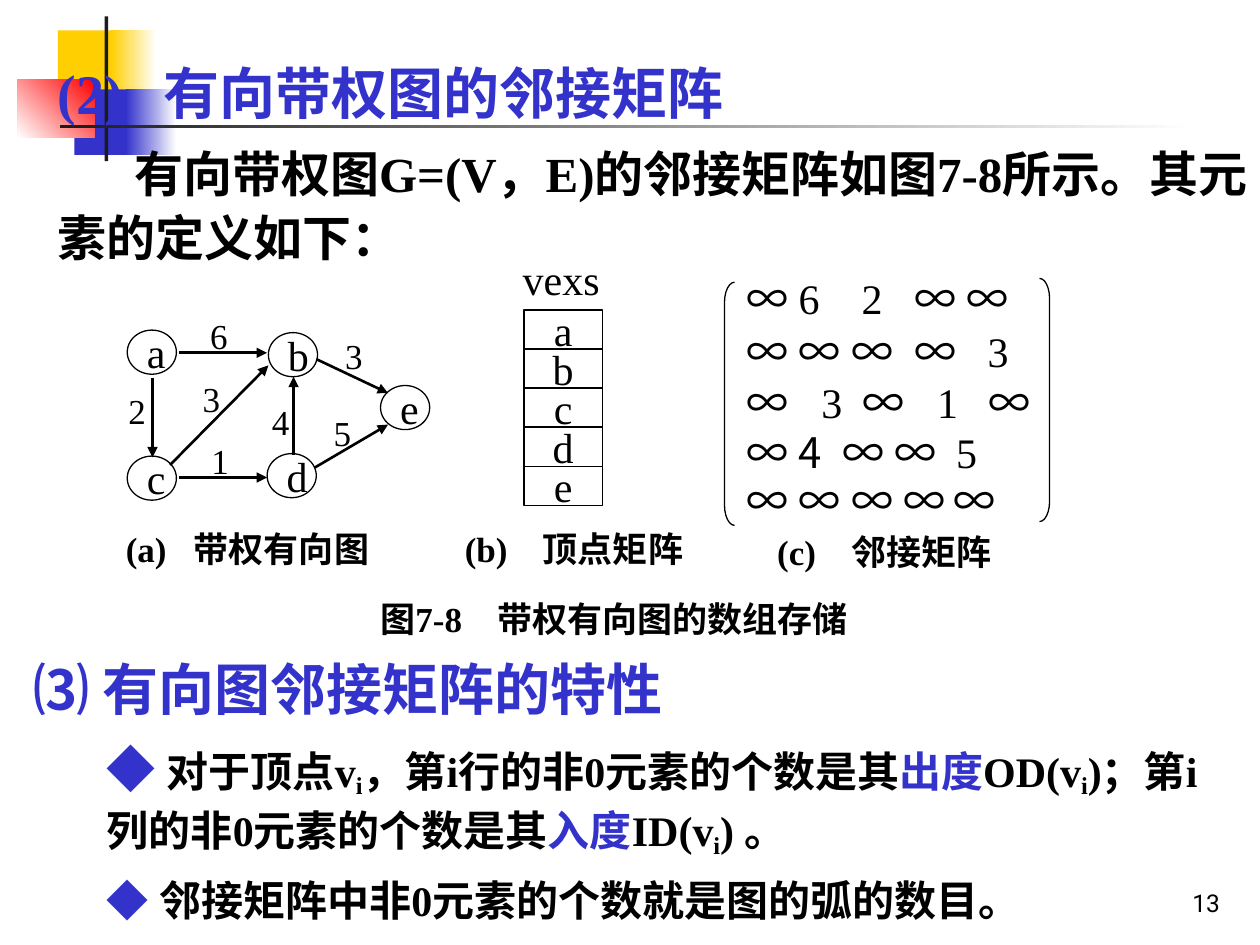
from lxml import etree
from pptx import Presentation
from pptx import util as u
from pptx.dml.color import RGBColor
from pptx.enum import shapes, text
from pptx.oxml.ns import qn

BLACK = RGBColor(0x00, 0x00, 0x00)
WHITE = RGBColor(0xFF, 0xFF, 0xFF)
BLUE = RGBColor(0x33, 0x33, 0xCC)
YELLOW = RGBColor(0xFF, 0xCF, 0x01)
RED = RGBColor(0xFF, 0x00, 0x00)
DARK = RGBColor(0x1C, 0x1C, 0x1C)
TIMES = "Times New Roman"
SANS = "Noto Sans CJK SC"
ROBOTO = "Roboto"
EAST_ASIAN = {TIMES: ROBOTO, SANS: SANS, ROBOTO: ROBOTO}
PLAIN = {"name": TIMES, "size": u.Pt(24), "bold": False}
CAPTION = {"name": TIMES, "size": u.Pt(20), "bold": True}
WEIGHT = {"name": TIMES, "size": u.Pt(20), "bold": False}
HEADING = {"name": TIMES, "size": u.Pt(32), "bold": True}
BODY = {"name": TIMES, "size": u.Pt(24), "bold": True}
RECTANGLE = shapes.MSO_SHAPE.RECTANGLE
MIDDLE = text.MSO_ANCHOR.MIDDLE

# left, top, width, height, colour, end colour, angle
ORNAMENTS = [
    (0.46, 0.24, 0.48, 0.52, YELLOW, None, 0),
    (0.88, 0.24, 0.36, 0.52, WHITE, YELLOW, 180),
    (0.59, 0.71, 0.46, 0.52, BLUE, None, 0),
    (1.00, 0.71, 0.40, 0.52, WHITE, BLUE, 180),
    (0.14, 0.63, 0.61, 0.46, RED, WHITE, 225),
    (0.83, 0.13, 0.03, 1.15, DARK, None, 0),
    (0.48, 0.99, 9.00, 0.03, WHITE, DARK, 180),
]
NODES = {"a": (1.01, 2.62), "b": (2.13, 2.64), "c": (1.01, 3.62),
         "d": (2.12, 3.6), "e": (3.02, 3.06)}
# start, end, weight, left and top of the weight
EDGES = [
    ((1.21, 3.0), (1.21, 3.63), "2", (0.92, 3.1)),
    ((2.33, 3.61), (2.33, 2.99), "4", (2.06, 3.19)),
    ((1.42, 2.8), (2.12, 2.8), "6", (1.57, 2.51)),
    ((1.42, 3.79), (2.12, 3.79), "1", (1.58, 3.5)),
    ((1.35, 3.69), (2.13, 2.9), "3", (1.51, 3.01)),
    ((2.5, 3.71), (3.08, 3.37), "5", (2.55, 3.28)),
    ((2.51, 2.85), (3.08, 3.12), "3", (2.64, 2.67)),
]
# top, entries, tab stops
MATRIX_ROWS = [
    (2.19, "∞62∞∞", (0.41, 0.91, 1.33, 1.74)),
    (2.61, "∞∞∞∞3", (0.41, 0.83, 1.33, 1.91)),
    (3.01, "∞3∞1∞", (0.59, 0.92, 1.51, 1.92)),
    (3.41, "∞4∞∞5", (0.41, 0.76, 1.17, 1.66)),
    (3.79, "∞∞∞∞∞", (0.41, 0.83, 1.24, 1.64)),
]
# left, top, width, text, tab stop
CAPTIONS = [
    (0.9, 4.18, 2.15, "(a)\t带权有向图", 0.54),
    (3.59, 4.18, 1.95, "(b)\t顶点矩阵", 0.62),
    (6.07, 4.2, 1.95, "(c)\t邻接矩阵", 0.59),
    (2.92, 4.73, 3.9, "图7-8\t带权有向图的数组存储", 0.93),
]


def apply(target, values):
    for name, value in values.items():
        setattr(target, name, value)


def add_run(paragraph, words, font, color=BLACK, baseline=None):
    run = paragraph.add_run()
    run.text = words
    apply(run.font, font)
    run.font.color.rgb = color
    properties = run.font._element
    etree.SubElement(properties, qn("a:ea")).set("typeface", EAST_ASIAN[font["name"]])
    if baseline:
        properties.set("baseline", str(baseline))


def set_tabs(paragraph, stops):
    tab_list = etree.SubElement(paragraph._p.get_or_add_pPr(), qn("a:tabLst"))
    for stop in stops:
        tab = etree.SubElement(tab_list, qn("a:tab"))
        tab.set("pos", str(u.Inches(stop)))
        tab.set("algn", "l")


def add_text(slide, box, wrap=True, anchor=MIDDLE):
    """Add an empty text box and return its text frame."""
    frame = slide.shapes.add_textbox(*map(u.Inches, box)).text_frame
    apply(frame, {"word_wrap": wrap, "vertical_anchor": anchor})
    return frame


def add_label(slide, box, words, font, stops=()):
    frame = add_text(slide, box, wrap=False)
    frame.margin_right = 0
    paragraph = frame.paragraphs[0]
    if stops:
        set_tabs(paragraph, stops)
    add_run(paragraph, words, font)


def add_outline(slide, kind, box):
    shape = slide.shapes.add_shape(kind, *map(u.Inches, box))
    shape.shadow.inherit = False
    shape.fill.background()
    shape.line.color.rgb = BLACK
    shape.line.width = u.Pt(0.75)
    return shape


def add_lettered(slide, kind, box, letter, alignment):
    frame = add_outline(slide, kind, box).text_frame
    apply(frame, {"word_wrap": False, "vertical_anchor": MIDDLE})
    frame.paragraphs[0].alignment = alignment
    add_run(frame.paragraphs[0], letter, PLAIN)


def add_ornament(slide, left, top, width, height, color, end_color, angle):
    shape = slide.shapes.add_shape(RECTANGLE, *map(u.Inches, (left, top, width, height)))
    shape.shadow.inherit = False
    shape.line.fill.background()
    if end_color is None:
        shape.fill.solid()
        shape.fill.fore_color.rgb = color
        return
    shape.fill.gradient()
    shape.fill.gradient_angle = angle
    for stop, stop_color in zip(shape.fill.gradient_stops, (color, end_color)):
        stop.color.rgb = stop_color


def add_arrow(slide, start, end):
    connector = slide.shapes.add_connector(
        shapes.MSO_CONNECTOR.STRAIGHT, *map(u.Inches, (*start, *end)))
    connector.line.color.rgb = BLACK
    connector.line.width = u.Pt(1.5)
    etree.SubElement(connector.line._get_or_add_ln(), qn("a:tailEnd")).set("type", "triangle")
    etree.SubElement(connector._element.spPr, qn("a:effectLst"))


def add_title(slide):
    title = slide.shapes.title
    apply(title, {"left": u.Inches(0.36), "top": u.Inches(0.36),
                  "width": u.Inches(9.64), "height": u.Inches(0.68)})
    frame = title.text_frame
    apply(frame, {"vertical_anchor": text.MSO_ANCHOR.TOP, "word_wrap": True,
                  "auto_size": text.MSO_AUTO_SIZE.NONE})
    paragraph = frame.paragraphs[0]
    apply(paragraph, {"alignment": text.PP_ALIGN.LEFT, "line_spacing": 1.1})
    set_tabs(paragraph, [0.84])
    add_run(paragraph, "(2)\t有向带权图的邻接矩阵", HEADING, BLUE)
    slide.shapes._spTree.append(title._element)  # in front of the ornaments


def add_introduction(slide):
    frame = add_text(slide, (0.36, 1.04, 9.64, 1.21), anchor=text.MSO_ANCHOR.TOP)
    paragraph = frame.paragraphs[0]
    paragraph.line_spacing = 1.1
    paragraph._p.get_or_add_pPr().set("indent", str(u.Inches(0.61)))
    add_run(paragraph, "有向带权图G=(V，E)的邻接矩阵如图7-8所示。其元素的定义如下：",
            {**BODY, "size": u.Pt(28)})


def add_graph(slide):
    for letter, corner in NODES.items():
        add_lettered(slide, shapes.MSO_SHAPE.OVAL, (*corner, 0.39, 0.35), letter,
                     text.PP_ALIGN.LEFT)
    for start, end, weight, corner in EDGES:
        add_arrow(slide, start, end)
        add_label(slide, (*corner, 0.31, 0.31), weight, WEIGHT)


def add_vertices(slide):
    add_label(slide, (4.05, 2.04, 0.79, 0.35), "vexs", PLAIN)
    for index, letter in enumerate(NODES):
        add_lettered(slide, RECTANGLE, (4.16, 2.46 + 0.31 * index, 0.62, 0.31), letter,
                     text.PP_ALIGN.CENTER)


def add_matrix(slide):
    for top, entries, stops in MATRIX_ROWS:
        frame = add_text(slide, (5.83, top, 2.4, 0.35))
        frame.margin_right = 0
        paragraph = frame.paragraphs[0]
        set_tabs(paragraph, stops)
        for index, entry in enumerate(entries):
            font = SANS if entry in "∞4" else TIMES
            add_run(paragraph, "\t" * (index > 0) + entry, {**PLAIN, "name": font})
    for kind, left, top in ((shapes.MSO_SHAPE.LEFT_BRACKET, 5.75, 2.24),
                            (shapes.MSO_SHAPE.RIGHT_BRACKET, 8.25, 2.21)):
        add_outline(slide, kind, (left, top, 0.08, 1.93)).adjustments[0] = 2.0


def add_properties(slide):
    frame = add_text(slide, (0.17, 5.09, 9.64, 2.2), anchor=text.MSO_ANCHOR.TOP)
    heading, degrees, arcs = frame.paragraphs[0], frame.add_paragraph(), frame.add_paragraph()
    heading.line_spacing = 1.1
    add_run(heading, "⑶ ", {**HEADING, "name": SANS}, BLUE)
    add_run(heading, "有向图邻接矩阵的特性", HEADING, BLUE)
    for paragraph, size in ((degrees, 28), (arcs, 24)):
        apply(paragraph, {"level": 1, "line_spacing": 1.1, "space_before": u.Pt(6)})
        paragraph._p.get_or_add_pPr().set("marL", str(u.Inches(0.58)))
        font = SANS if paragraph is degrees else TIMES
        add_run(paragraph, "◆ ", {**BODY, "name": font, "size": u.Pt(size)}, BLUE)
    for words, color, baseline in (
            ("对于顶点v", BLACK, None), ("i", BLACK, -18000),
            ("，第i行的非0元素的个数是其", BLACK, None), ("出度", BLUE, None),
            ("OD(v", BLACK, None), ("i", BLACK, -18000),
            (")；第i列的非0元素的个数是其", BLACK, None), ("入度", BLUE, None),
            ("ID(v", BLACK, None), ("i", BLACK, -18000), (") 。", BLACK, None)):
        add_run(degrees, words, BODY, color, baseline)
    add_run(arcs, "邻接矩阵中非0元素的个数就是图的弧的数目。", BODY)


def main():
    presentation = Presentation()
    presentation.slide_width, presentation.slide_height = u.Inches(10), u.Inches(7.5)
    slide = presentation.slides.add_slide(presentation.slide_layouts[5])
    for ornament in ORNAMENTS:
        add_ornament(slide, *ornament)
    add_title(slide)
    add_introduction(slide)
    add_graph(slide)
    add_vertices(slide)
    add_matrix(slide)
    for left, top, width, words, stop in CAPTIONS:
        add_label(slide, (left, top, width, 0.35), words, CAPTION, [stop])
    add_properties(slide)
    number = add_text(slide, (7.7, 6.83, 2.08, 0.5), anchor=text.MSO_ANCHOR.BOTTOM).paragraphs[0]
    number.alignment = text.PP_ALIGN.RIGHT
    add_run(number, "13", {"name": ROBOTO, "size": u.Pt(14)})
    presentation.save("out.pptx")


if __name__ == "__main__":
    main()
